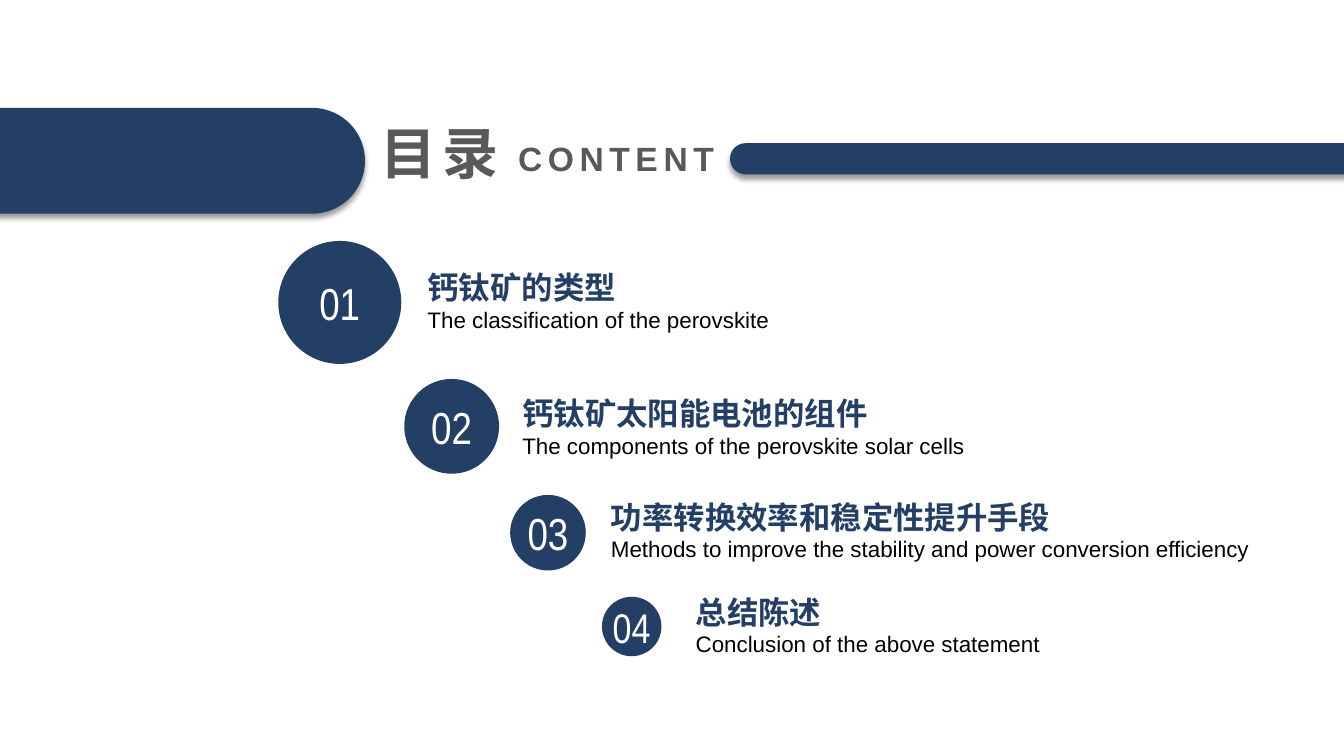
from lxml.etree import SubElement as Sub
from pptx import Presentation
from pptx.dml.color import RGBColor as RGB
from pptx.enum.shapes import MSO_SHAPE as Kind
from pptx.enum.text import MSO_ANCHOR as Anchor, PP_ALIGN as Align
from pptx.oxml.ns import qn
from pptx.util import Inches, Pt

NAVY = RGB(0x23, 0x3F, 0x66)
GRAY = RGB(0x59, 0x59, 0x59)
WHITE = RGB(0xFF, 0xFF, 0xFF)
BLACK = RGB(0, 0, 0)
HAN = "Noto Sans CJK SC"
GLYPH = 0.32  # room for one character of a topic, in inches

NUMBER = {"name": "Arial Narrow"}
TOPIC = {"name": "Arial", "size": Pt(22.4), "bold": True}
GLOSS = {"name": "Arial", "size": Pt(16)}
TITLE = {"name": HAN, "size": Pt(40), "bold": True}
LABEL = {"name": "Arial", "size": Pt(24), "bold": True}

# circle left, top, size; number size; text left, top, gloss width; topic; gloss
ITEMS = [
    (2.76, 2.39, 1.22, 32, 4.24, 2.7, 5.03,
     "钙钛矿的类型", "The classification of the perovskite"),
    (4.01, 3.76, 0.94, 32, 5.18, 3.95, 4.58,
     "钙钛矿太阳能电池的组件", "The components of the perovskite solar cells"),
    (5.06, 4.91, 0.75, 32, 6.06, 4.98, 6.94,
     "功率转换效率和稳定性提升手段",
     "Methods to improve the stability and power conversion efficiency"),
    (5.97, 5.92, 0.59, 29.6, 6.9, 5.92, 3.73,
     "总结陈述", "Conclusion of the above statement"),
]


def write(shape, text, style, color, align=Align.LEFT, wrap=False, track=0):
    """Put one line of text in the shape, with no margins; track is in points."""
    frame = shape.text_frame
    layout = {"word_wrap": wrap, "vertical_anchor": Anchor.MIDDLE,
              "margin_left": 0, "margin_right": 0,
              "margin_top": 0, "margin_bottom": 0}
    for key, value in layout.items():
        setattr(frame, key, value)
    para = frame.paragraphs[0]
    para.alignment = align
    run = para.add_run()
    run.text = text
    for key, value in style.items():
        setattr(run.font, key, value)
    run.font.color.rgb = color
    props = run._r.get_or_add_rPr()
    Sub(props, qn("a:ea"), typeface=HAN)
    if track:
        props.set("spc", str(track * 100))
    return para


def add_shape(slide, kind, box, fill=None):
    shape = slide.shapes.add_shape(kind, *map(Inches, box))
    shape.shadow.inherit = False
    shape.line.fill.background()
    if fill is None:
        shape.fill.background()
    else:
        shape.fill.solid()
        shape.fill.fore_color.rgb = fill
    return shape


def add_text(slide, box, *args, **options):
    return write(slide.shapes.add_textbox(*map(Inches, box)), *args, **options)


def add_bar(slide, box):
    """Draw a round-ended bar with a soft shadow below it."""
    bar = add_shape(slide, Kind.ROUNDED_RECTANGLE, box, NAVY)
    bar.adjustments[0] = 0.5
    effects = bar._element.spPr.find(qn("a:effectLst"))
    shadow = Sub(effects, qn("a:outerShdw"), blurRad=str(Pt(4)),
                 dist=str(Pt(3)), dir="5400000", algn="t", rotWithShape="0")
    color = Sub(shadow, qn("a:srgbClr"), val=str(BLACK))
    Sub(color, qn("a:alpha"), val="40000")


def add_item(slide, number, item):
    left, top, side, size, x, y, width, topic, gloss = item
    disc = add_shape(slide, Kind.OVAL, (left, top, side, side), NAVY)
    write(disc, f"{number:02}", NUMBER | {"size": Pt(size)}, WHITE, Align.CENTER)
    para = add_text(slide, (x, y + 0.27, width, 0.34), gloss, GLOSS, BLACK,
                    wrap=True)
    para.line_spacing = 1.2
    add_text(slide, (x, y, GLYPH * len(topic), 0.3), topic, TOPIC, NAVY,
             wrap=True)


def add_header(slide):
    add_bar(slide, (-1.87, 1.07, 5.49, 1.05))
    add_bar(slide, (7.24, 1.42, 6.39, 0.31))
    title = add_shape(slide, Kind.OVAL, (3.16, 0.78, 2.4, 1.46))
    write(title, "目录", TITLE, GRAY, Align.CENTER, wrap=True, track=4)
    add_text(slide, (4.94, 1.32, 2.34, 0.5), "CONTENT", LABEL, GRAY,
             Align.CENTER, track=4)


def main():
    deck = Presentation()
    deck.slide_width, deck.slide_height = Inches(13.33), Inches(7.5)
    slide = deck.slides.add_slide(deck.slide_layouts[6])
    for number, item in enumerate(ITEMS, 1):
        add_item(slide, number, item)
    add_header(slide)
    deck.save("out.pptx")


if __name__ == "__main__":
    main()
